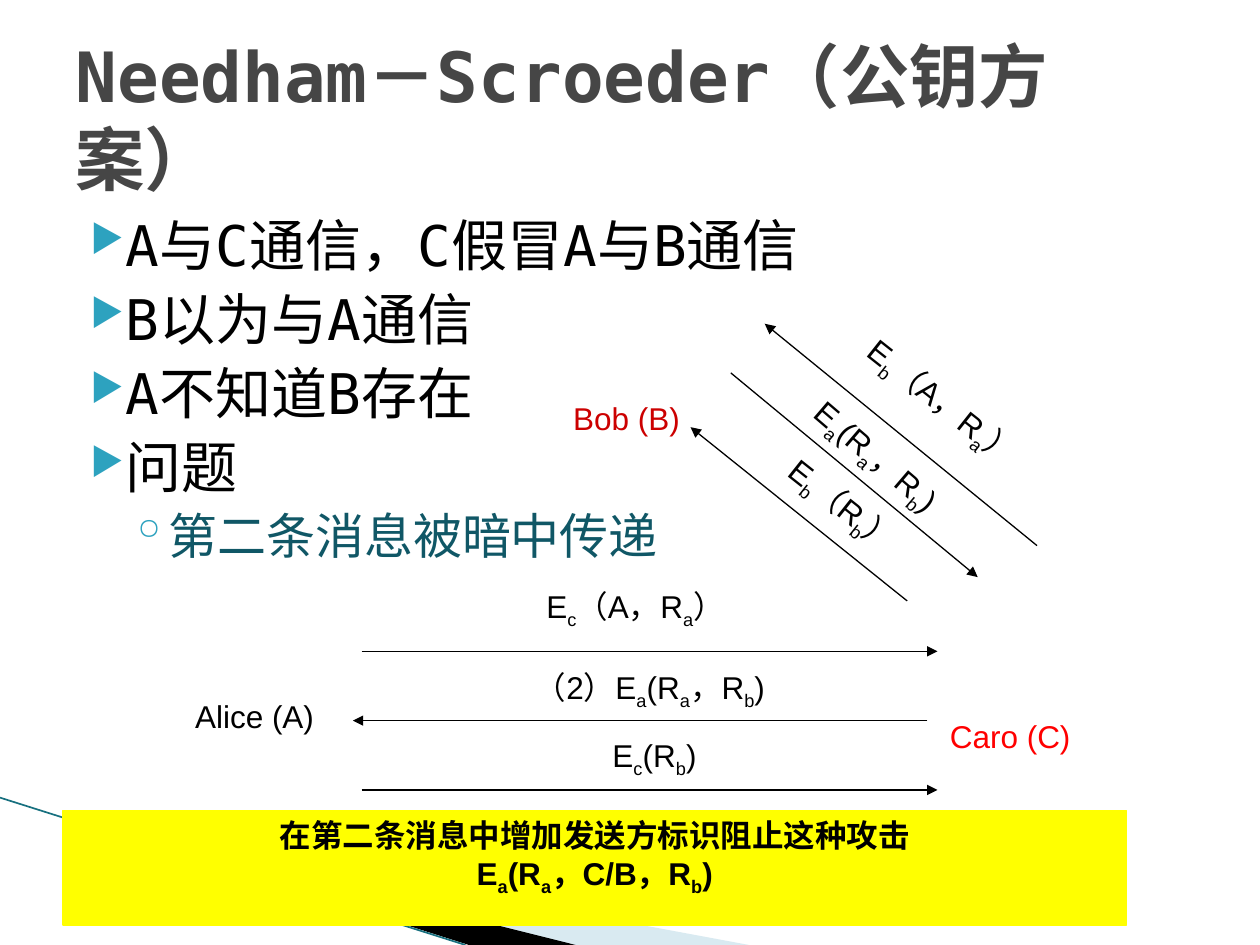
import pptx
import pptx.dml.color
import pptx.enum.shapes
import pptx.enum.text
import pptx.oxml.ns
import pptx.util
from dataclasses import dataclass
from lxml import etree

Pt = pptx.util.Pt
qn = pptx.oxml.ns.qn
ALIGN = pptx.enum.text.PP_ALIGN
ANCHOR = pptx.enum.text.MSO_ANCHOR

COLORS = {
    "title": "464646", "text": "000000", "subitem": "105766", "bullet": "2DA2BF",
    "bob": "CC0000", "caro": "FF0000", "note": "FFFF00",
    "pale": "A0CBDC", "edge": "17707F",
}
MONO, SANS, CHINESE = "DejaVu Sans Mono", "Arial", "Noto Sans CJK SC"


@dataclass
class Item:
    text: str
    size: float = 32
    color: str = "text"
    bullet: str = "▶"
    bullet_percent: int = 68
    margin: float = 28.8
    hanging: float = 20.2
    space: float = 4


@dataclass
class Label:
    text: str  # an underscore lowers the letter after it
    left: float
    top: float
    width: float
    rotation: float = 0
    color: str = "text"
    align: ALIGN = ALIGN.CENTER


@dataclass
class Arrow:
    """A message arrow; the head is at the end point."""
    start: tuple[float, float]
    end: tuple[float, float]


ITEMS = [
    Item("A与C通信，C假冒A与B通信"),
    Item("B以为与A通信"),
    Item("A不知道B存在"),
    Item("问题"),
    Item("第二条消息被暗中传递", 28, "subitem", "◦", 100, 49, 18, 3.2),
]
LABELS = [
    Label("Alice (A)", 104.4, 394.6, 90.7, align=ALIGN.LEFT),
    Label("Caro (C)", 535.7, 406.1, 108, color="caro", align=ALIGN.LEFT),
    Label("Bob (B)", 320.4, 224.6, 90.7, color="bob", align=ALIGN.LEFT),
    Label("E_c（A，R_a）", 241.2, 331.9, 244),
    Label("（2）E_a(R_a，R_b)", 235.4, 378, 272),
    Label("E_c(R_b)", 252, 416.9, 244),
    Label("E_b（A，R_a）", 416.9, 215.3, 244, 38.4),
    Label("E_a(R_a，R_b)", 400.3, 246.2, 201, 40.6),
    Label("E_b（R_b）", 360, 274.3, 244, 38.4),
]
ARROWS = [
    Arrow((206.6, 372.2), (535.7, 372.2)),
    Arrow((529.9, 411.8), (201.6, 411.8)),
    Arrow((206.6, 451.4), (535.7, 451.4)),
    Arrow((592.6, 311.8), (437, 185)),
    Arrow((417.6, 213.1), (558.7, 329.8)),
    Arrow((518.4, 343.4), (394.6, 244.1)),
]


def rgb(name: str):
    return pptx.dml.color.RGBColor.from_string(COLORS[name])


def format_run(run, font: str, size: float, color: str, bold: bool = False) -> None:
    run.font.name = font
    run.font.size = Pt(size)
    run.font.bold = bold
    run.font.color.rgb = rgb(color)
    etree.SubElement(run._r.get_or_add_rPr(), qn("a:ea"), typeface=font)


def write_formula(paragraph, text: str, color: str = "text", bold: bool = False) -> None:
    first, *rest = text.split("_")
    parts = [(first, False)]
    for part in rest:
        parts += [(part[0], True), (part[1:], False)]
    for part, lowered in parts:
        if part:
            run = paragraph.add_run()
            run.text = part
            format_run(run, SANS, 18, color, bold)
            if lowered:
                run.font._element.set("baseline", "-25000")


def add_bullet(paragraph, item: Item) -> None:
    properties = paragraph._p.get_or_add_pPr()
    properties.set("marL", str(Pt(item.margin)))
    properties.set("indent", str(-Pt(item.hanging)))
    color = etree.SubElement(properties, qn("a:buClr"))
    etree.SubElement(color, qn("a:srgbClr"), val=COLORS["bullet"])
    etree.SubElement(properties, qn("a:buSzPct"), val=str(item.bullet_percent * 1000))
    etree.SubElement(properties, qn("a:buChar"), char=item.bullet)


def add_text_box(slide, left: float, top: float, width: float, height: float):
    box = slide.shapes.add_textbox(Pt(left), Pt(top), Pt(width), Pt(height))
    box.text_frame.word_wrap = True
    return box


def add_label(slide, label: Label) -> None:
    box = add_text_box(slide, label.left, label.top, label.width, 28.8)
    box.rotation = label.rotation
    paragraph = box.text_frame.paragraphs[0]
    paragraph.alignment = label.align
    write_formula(paragraph, label.text, label.color)


def add_line(slide, start, end, color: str, width: float):
    line = slide.shapes.add_connector(
        pptx.enum.shapes.MSO_CONNECTOR.STRAIGHT, *map(Pt, (*start, *end)))
    line.line.color.rgb = rgb(color)
    line.line.width = Pt(width)
    etree.SubElement(line._element.spPr, qn("a:effectLst"))
    return line


def add_arrow(slide, arrow: Arrow) -> None:
    line = add_line(slide, arrow.start, arrow.end, "text", 0.75)
    etree.SubElement(line.line._get_or_add_ln(), qn("a:tailEnd"), type="triangle")


def add_wedge(slide, points: list[tuple[float, float]], color: str):
    builder = slide.shapes.build_freeform(*points[0], scale=Pt(1))
    builder.add_line_segments(points[1:], close=True)
    wedge = builder.convert_to_shape()
    wedge.shadow.inherit = False
    wedge.fill.solid()
    wedge.fill.fore_color.rgb = rgb(color)
    wedge.line.fill.background()
    return wedge


def main() -> None:
    presentation = pptx.Presentation()
    presentation.slide_width, presentation.slide_height = Pt(720), Pt(540)
    slide = presentation.slides.add_slide(presentation.slide_layouts[5])

    # Corner decoration
    pale = add_wedge(slide, [(39.6, 468.4), (428.4, 540), (328.3, 540)], "pale")
    pale_color = pale.fill._xPr.find(".//" + qn("a:srgbClr"))
    etree.SubElement(pale_color, qn("a:alpha"), val="40000")
    add_wedge(slide, [(38.2, 467.3), (329, 540), (267.8, 540)], "text")
    add_line(slide, (0, 455.8), (266, 540), "edge", 0.95)

    # Title
    title = slide.shapes.title
    title.left, title.top, title.width, title.height = map(Pt, (36, 21.6, 648, 90))
    title.text_frame.text = "Needham－Scroeder（公钥方案）"
    title.text_frame.word_wrap = True
    title.text_frame.vertical_anchor = ANCHOR.MIDDLE
    heading = title.text_frame.paragraphs[0]
    heading.alignment = ALIGN.LEFT
    format_run(heading.runs[0], MONO, 39.6, "title", True)

    # Bulleted points
    frame = add_text_box(slide, 36, 116.6, 648, 356.4).text_frame
    frame.text = "\n".join(item.text for item in ITEMS)
    for index, (paragraph, item) in enumerate(zip(frame.paragraphs, ITEMS)):
        add_bullet(paragraph, item)
        if index:
            paragraph.space_before = Pt(item.space)
        format_run(paragraph.runs[0], MONO, item.size, item.color)

    # Messages between Alice, Bob and Caro
    for arrow in ARROWS:
        add_arrow(slide, arrow)
    for label in LABELS:
        add_label(slide, label)

    # Countermeasure
    note = slide.shapes.add_shape(
        pptx.enum.shapes.MSO_SHAPE.RECTANGLE, *map(Pt, (36, 463, 607.7, 65.5)))
    note.shadow.inherit = False
    note.fill.solid()
    note.fill.fore_color.rgb = rgb("note")
    note.line.color.rgb = rgb("note")
    note.line.width = Pt(0.75)
    note.text_frame.vertical_anchor = ANCHOR.TOP
    note.text_frame.text = "在第二条消息中增加发送方标识阻止这种攻击"
    advice = note.text_frame.paragraphs[0]
    format_run(advice.runs[0], CHINESE, 18, "text", True)
    formula = note.text_frame.add_paragraph()
    write_formula(formula, "E_a(R_a，C/B，R_b)", bold=True)
    for paragraph in (advice, formula):
        paragraph.alignment = ALIGN.CENTER

    presentation.save("out.pptx")


if __name__ == "__main__":
    main()
